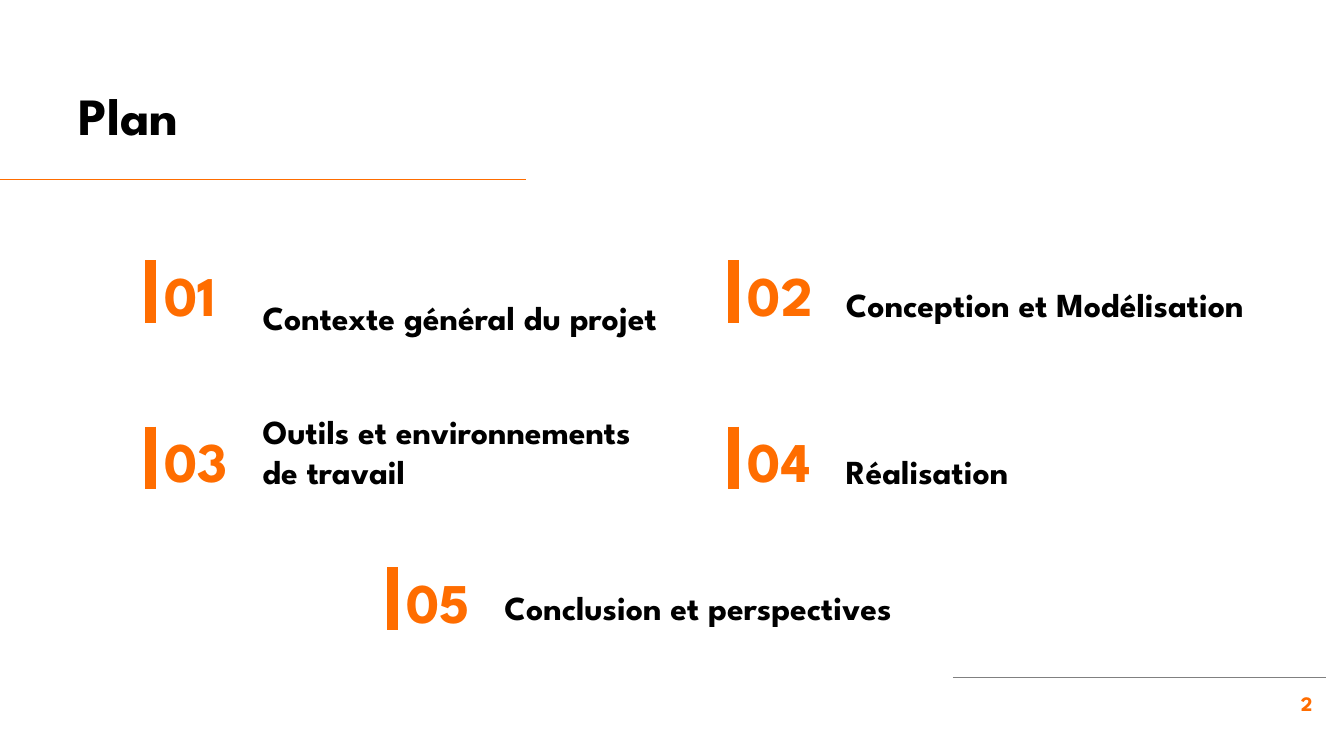
"""Build the plan slide: a title and five numbered sections."""
from pptx import Presentation
from pptx.dml.color import RGBColor
from pptx.enum.shapes import MSO_CONNECTOR
from pptx.enum.text import MSO_ANCHOR, MSO_AUTO_SIZE, PP_ALIGN
from pptx.oxml import parse_xml
from pptx.oxml.ns import nsdecls
from pptx.util import Pt

PX = 4572
FONT = "League Spartan"
ORANGE = RGBColor(0xFF, 0x6D, 0x00)
BLACK = RGBColor(0, 0, 0)
GRAY = RGBColor(0x80, 0x80, 0x80)

presentation = Presentation()
presentation.slide_width = 2000 * PX
presentation.slide_height = 1125 * PX
slide = presentation.slides.add_slide(presentation.slide_layouts[5])


def add_line(x1, y1, x2, y2, color, width):
    line = slide.shapes.add_connector(
        MSO_CONNECTOR.STRAIGHT, x1 * PX, y1 * PX, x2 * PX, y2 * PX)
    line.line.color.rgb = color
    line.line.width = Pt(width)
    line._element.spPr.append(parse_xml(f"<a:effectLst {nsdecls('a')}/>"))


def set_text(shape, box, text, size, color, anchor=MSO_ANCHOR.TOP,
             align=PP_ALIGN.LEFT, margin_left=20):
    shape.left, shape.top, shape.width, shape.height = [n * PX for n in box]
    frame = shape.text_frame
    frame.text = text
    frame.word_wrap = True
    frame.auto_size = MSO_AUTO_SIZE.NONE
    frame.vertical_anchor = anchor
    frame.margin_left = margin_left * PX
    frame.margin_top = frame.margin_right = frame.margin_bottom = 20 * PX
    paragraph = frame.paragraphs[0]
    paragraph.alignment = align
    paragraph.font.name = FONT
    paragraph.font.size = Pt(size)
    paragraph.font.bold = True
    paragraph.font.color.rgb = color


add_line(-4, 267, 783, 267, ORANGE, 0.75)
add_line(1418, 1008, 1974, 1008, GRAY, 0.5)
set_text(slide.shapes.title, (97, 104, 1356, 126), "Plan", 28, BLACK)
set_text(slide.shapes.add_textbox(0, 0, 0, 0), (1845, 1009, 128, 86), "2", 11,
         ORANGE, align=PP_ALIGN.RIGHT)

sections = [
    ("Contexte général du projet", 245, 367, 648, 522),
    ("Conception et Modélisation", 1113, 367, 716, 503),
    ("Outils et environnements de travail", 245, 615, 648, 751),
    ("Réalisation", 1113, 615, 648, 751),
    ("Conclusion et perspectives", 605, 824, 762, 954),
]
for number, (label, left, top, width, bottom) in enumerate(sections, 1):
    add_line(left - 21, top + 20, left - 21, top + 113, ORANGE, 6)
    set_text(slide.shapes.add_textbox(0, 0, 0, 0), (left, top, 126, 130),
             f"{number:02}", 30, ORANGE, margin_left=0)
    set_text(slide.shapes.add_textbox(0, 0, 0, 0),
             (left + 126, bottom - 116, width, 116), label, 18, BLACK,
             anchor=MSO_ANCHOR.BOTTOM)

presentation.save("out.pptx")
